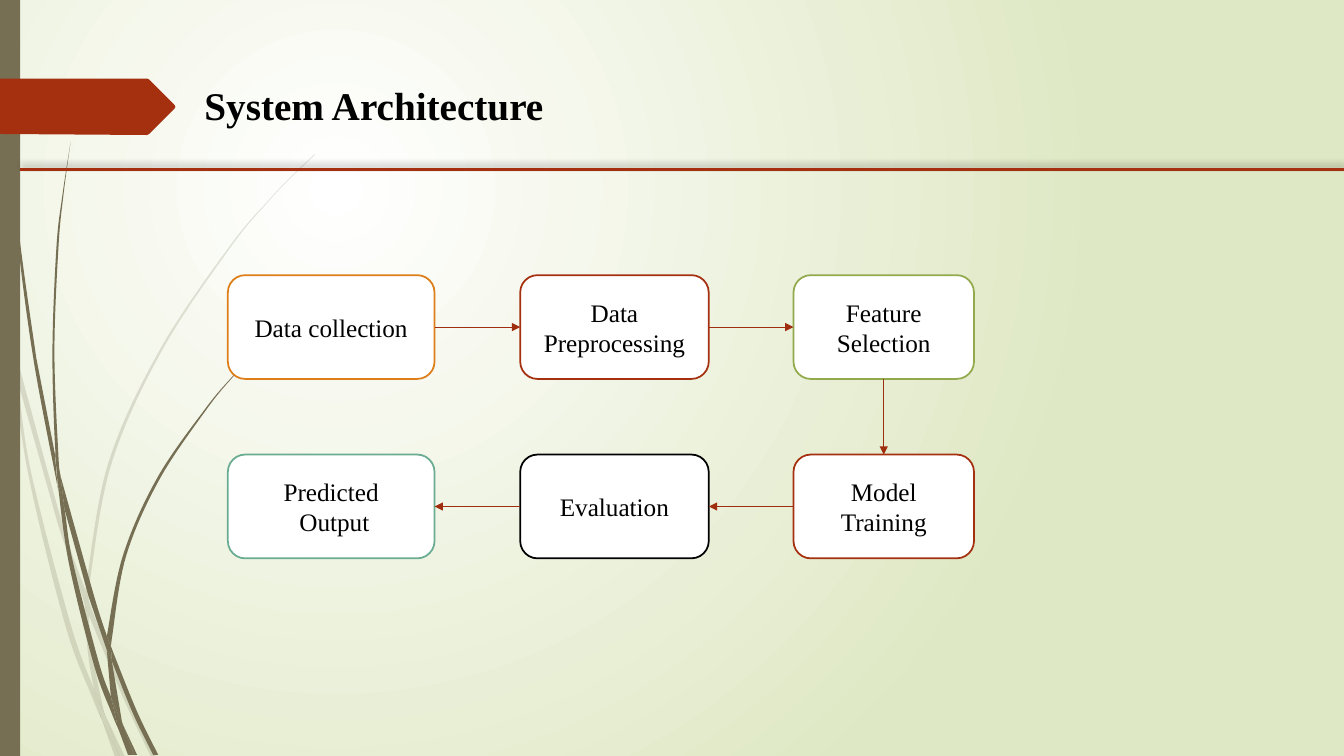
from lxml import etree
from pptx import Presentation
from pptx.dml.color import RGBColor
from pptx.enum import shapes, text
from pptx.oxml.ns import qn
from pptx.util import Emu, Pt

PX = 9144
FONT = "Times New Roman"
COLORS = {
    "white": "FFFFFF", "sage": "DFE8C4", "olive": "766F54", "rust": "A53010",
    "arrow": "9E2E0F", "orange": "DE7E18", "green": "92AA4C",
    "teal": "6AAC91", "black": "000000",
}
COLUMNS = [(226, 205), (516, 187), (787, 179)]
ROWS = [273, 451]
BOX_HEIGHT = 103
STEPS = [
    ("Data collection", 0, 0, "orange"),
    ("Data\nPreprocessing", 1, 0, "rust"),
    ("Feature Selection", 2, 0, "green"),
    ("Model Training", 2, 1, "rust"),
    ("Evaluation", 1, 1, "black"),
    ("Predicted\n Output", 0, 1, "teal"),
]
TOP, LEFT, BOTTOM, RIGHT = range(4)
JOINS = [(RIGHT, LEFT), (RIGHT, LEFT), (BOTTOM, TOP), (LEFT, RIGHT), (LEFT, RIGHT)]
TAB = [(0, 78), (146, 78), (148, 79), (173, 104), (174, 106), (173, 108),
       (148, 133), (146, 134), (0, 133)]
PALE_STEMS = [
    ([(11, 350), (9, 322), (0, 282)], [(0, 299), (10, 344)]),
    ([(58, 522), (84, 599)], [(85, 586), (62, 520), (14, 345)], [(17, 376), (58, 522)]),
    ([(92, 607), (88, 596)], [(88, 610), (123, 694), (150, 751)],
     [(155, 751), (127, 692), (92, 607)]),
    ([(119, 751), (124, 751)], [(105, 711), (119, 751)]),
    ([(93, 683), (70, 619), (31, 469), (17, 376), (11, 350)],
     [(11, 350), (28, 470), (65, 621), (92, 693), (101, 714)], [(99, 707), (93, 683)]),
    ([(84, 599), (87, 646), (93, 683)], [(96, 692), (105, 711)],
     [(103, 706), (91, 646), (88, 610)], [(88, 608), (84, 599)]),
    ([(88, 584), (110, 462), (160, 349), (229, 245), (268, 198), (290, 175), (312, 154)],
     [(312, 153), (289, 175), (268, 197), (228, 244), (158, 348), (107, 461), (85, 584)],
     [(85, 586), (88, 596)]),
    ([(101, 714), (114, 751)], [(119, 751), (101, 714)]),
    ([(88, 608), (88, 610)], [(88, 596), (85, 586)], [(84, 599), (88, 608)]),
    ([(96, 692), (93, 683)], [(99, 707), (101, 714), (119, 751)],
     [(119, 751), (105, 711), (96, 692)]),
]
DARK_STEMS = [
    ([(7, 110), (17, 233), (33, 355), (56, 477), (57, 481)], [(55, 457), (55, 453)],
     [(36, 355), (19, 232), (8, 109), (5, 48), (4, 0)], [(3, 0), (4, 48), (7, 110)]),
    ([(88, 592), (106, 645)], [(106, 633), (106, 631), (93, 590), (60, 472)],
     [(64, 505), (88, 592)]),
    ([(113, 649), (110, 641)], [(111, 656), (132, 708), (152, 749)],
     [(157, 749), (136, 706), (113, 649)]),
    ([(110, 691), (98, 657), (72, 556), (64, 505), (57, 477)],
     [(57, 477), (68, 557), (93, 659), (111, 708), (117, 722)], [(116, 717), (110, 691)]),
    ([(60, 472), (58, 453), (54, 349), (58, 245), (63, 193), (70, 141)],
     [(70, 141), (62, 193), (56, 245), (52, 349), (55, 449), (60, 472)]),
    ([(133, 749), (136, 749)], [(122, 719), (133, 749)]),
    ([(57, 477), (64, 505)], [(60, 472), (55, 449)], [(55, 453), (57, 477)]),
    ([(111, 633), (125, 552), (158, 476), (205, 406), (231, 374), (245, 359), (261, 344)],
     [(260, 344), (245, 358), (231, 373), (204, 405), (156, 474), (122, 551), (106, 631)],
     [(110, 641), (111, 633)]),
    ([(117, 722), (127, 749)], [(131, 749), (117, 722)]),
    ([(106, 645), (110, 691)], [(116, 706), (122, 719)],
     [(121, 716), (111, 656)], [(109, 651), (106, 645)]),
    ([(106, 645), (109, 651), (111, 656)], [(110, 641), (106, 631)],
     [(106, 633), (106, 645)]),
    ([(116, 706), (110, 691)], [(116, 717), (117, 722), (130, 749)],
     [(133, 749), (122, 719), (116, 706)]),
]


def rgb(name):
    return RGBColor.from_string(COLORS[name])


def box(*lengths):
    return [Emu(length * PX) for length in lengths]


def apply(target, values):
    for name, value in values.items():
        setattr(target, name, value)


def paint(shape, fill, line=None):
    shape.shadow.inherit = False
    shape.fill.solid()
    shape.fill.fore_color.rgb = rgb(fill)
    if line:
        shape.line.color.rgb = rgb(line)
        shape.line.width = Pt(1.25)
    else:
        shape.line.fill.background()


def write(shape, content, frame_format, font_format, align):
    frame = shape.text_frame
    apply(frame, frame_format)
    frame.text = content
    for paragraph in frame.paragraphs:
        paragraph.alignment = align
        apply(paragraph.font, {"name": FONT, **font_format})
        paragraph.font.color.rgb = rgb("black")


def set_background(slide):
    fill = slide.background.fill
    fill.gradient()
    for stop, name in zip(fill.gradient_stops, ["white", "sage"]):
        stop.color.rgb = rgb(name)
    gradient = slide.element.find(".//" + qn("a:gradFill"))
    gradient.remove(gradient.find(qn("a:lin")))
    circle = etree.SubElement(gradient, qn("a:path"), path="circle")
    etree.SubElement(circle, qn("a:fillToRect"),
                     l="50000", t="50000", r="100000", b="100000")


def add_outline(parent, points, fill):
    builder = parent.shapes.build_freeform(*points[0], scale=PX)
    builder.add_line_segments(points[1:], close=True)
    shape = builder.convert_to_shape()
    paint(shape, fill)
    return shape


def curve_edges(shape, edges):
    left = min(x for edge in edges for x, _ in edge)
    top = min(y for edge in edges for _, y in edge)
    outline = shape.element.spPr.find(".//" + qn("a:path"))
    apply_scale = {"w": shape.width, "h": shape.height}
    for name, value in apply_scale.items():
        outline.set(name, str(value))
    for child in list(outline):
        outline.remove(child)

    def add_command(tag, *points):
        command = etree.SubElement(outline, qn(tag))
        for x, y in points:
            etree.SubElement(command, qn("a:pt"), x=str(round((x - left) * PX)),
                             y=str(round((y - top) * PX)))

    for index, edge in enumerate(edges):
        add_command("a:lnTo" if index else "a:moveTo", edge[0])
        padded = [edge[0], *edge, edge[-1]]
        for before, start, end, after in zip(padded, edge, edge[1:], padded[3:]):
            leave = [s + (e - b) / 6 for b, s, e in zip(before, start, end)]
            arrive = [e - (a - s) / 6 for s, e, a in zip(start, end, after)]
            add_command("a:cubicBezTo", leave, arrive, end)
    add_command("a:close")


def add_stems(slide, stems, alpha=None):
    group = slide.shapes.add_group_shape()
    for edges in stems:
        stem = add_outline(group, sum(edges, []), "olive")
        curve_edges(stem, edges)
        if alpha:
            color = stem.element.spPr.find(".//" + qn("a:srgbClr"))
            etree.SubElement(color, qn("a:alpha"), val=str(alpha * 1000))


def add_block(slide, kind, bounds, fill, line=None):
    shape = slide.shapes.add_shape(kind, *box(*bounds))
    paint(shape, fill, line)
    return shape


def add_line(slide, ends, color, width):
    line = slide.shapes.add_connector(shapes.MSO_CONNECTOR.STRAIGHT, *box(*ends))
    line.line.color.rgb = rgb(color)
    line.line.width = Pt(width)
    return line, etree.SubElement(line.element.spPr, qn("a:effectLst"))


def add_title_rule(slide):
    _, effects = add_line(slide, (20, 168, 1333, 168), "rust", 1.75)
    shadow = etree.SubElement(effects, qn("a:outerShdw"), blurRad=str(Pt(4)),
                              dist=str(Pt(3)), dir="16200000", rotWithShape="0")
    color = etree.SubElement(shadow, qn("a:srgbClr"), val=COLORS["black"])
    etree.SubElement(color, qn("a:alpha"), val="40000")


def add_title(slide):
    title = slide.shapes.add_textbox(*box(193, 76, 360, 57))
    write(title, "System Architecture",
          {"word_wrap": False, "auto_size": text.MSO_AUTO_SIZE.SHAPE_TO_FIT_TEXT},
          {"size": Pt(28), "bold": True}, text.PP_ALIGN.LEFT)


def add_step(slide, label, column, row, color):
    left, width = COLUMNS[column]
    step = add_block(slide, shapes.MSO_SHAPE.ROUNDED_RECTANGLE,
                     (left, ROWS[row], width, BOX_HEIGHT), "white", color)
    write(step, label, {"word_wrap": True, "vertical_anchor": text.MSO_ANCHOR.MIDDLE},
          {"size": Pt(18)}, text.PP_ALIGN.CENTER)
    return step


def add_arrow(slide, source, target, source_side, target_side):
    arrow, _ = add_line(slide, (0, 0, 0, 0), "arrow", 0.75)
    arrow.begin_connect(source, source_side)
    arrow.end_connect(target, target_side)
    outline = arrow.element.spPr.find(qn("a:ln"))
    etree.SubElement(outline, qn("a:tailEnd"), type="triangle")


def main():
    presentation = Presentation()
    apply(presentation, dict(zip(["slide_width", "slide_height"], box(1333, 750))))
    slide = presentation.slides.add_slide(presentation.slide_layouts[6])
    set_background(slide)
    add_stems(slide, PALE_STEMS, alpha=20)
    add_stems(slide, DARK_STEMS)
    add_block(slide, shapes.MSO_SHAPE.RECTANGLE, (0, 0, 20, 750), "olive")
    add_outline(slide, TAB, "rust")
    add_title_rule(slide)
    add_title(slide)
    steps = [add_step(slide, *step) for step in STEPS]
    for source, target, sides in zip(steps, steps[1:], JOINS):
        add_arrow(slide, source, target, *sides)
    presentation.save("out.pptx")


if __name__ == "__main__":
    main()
